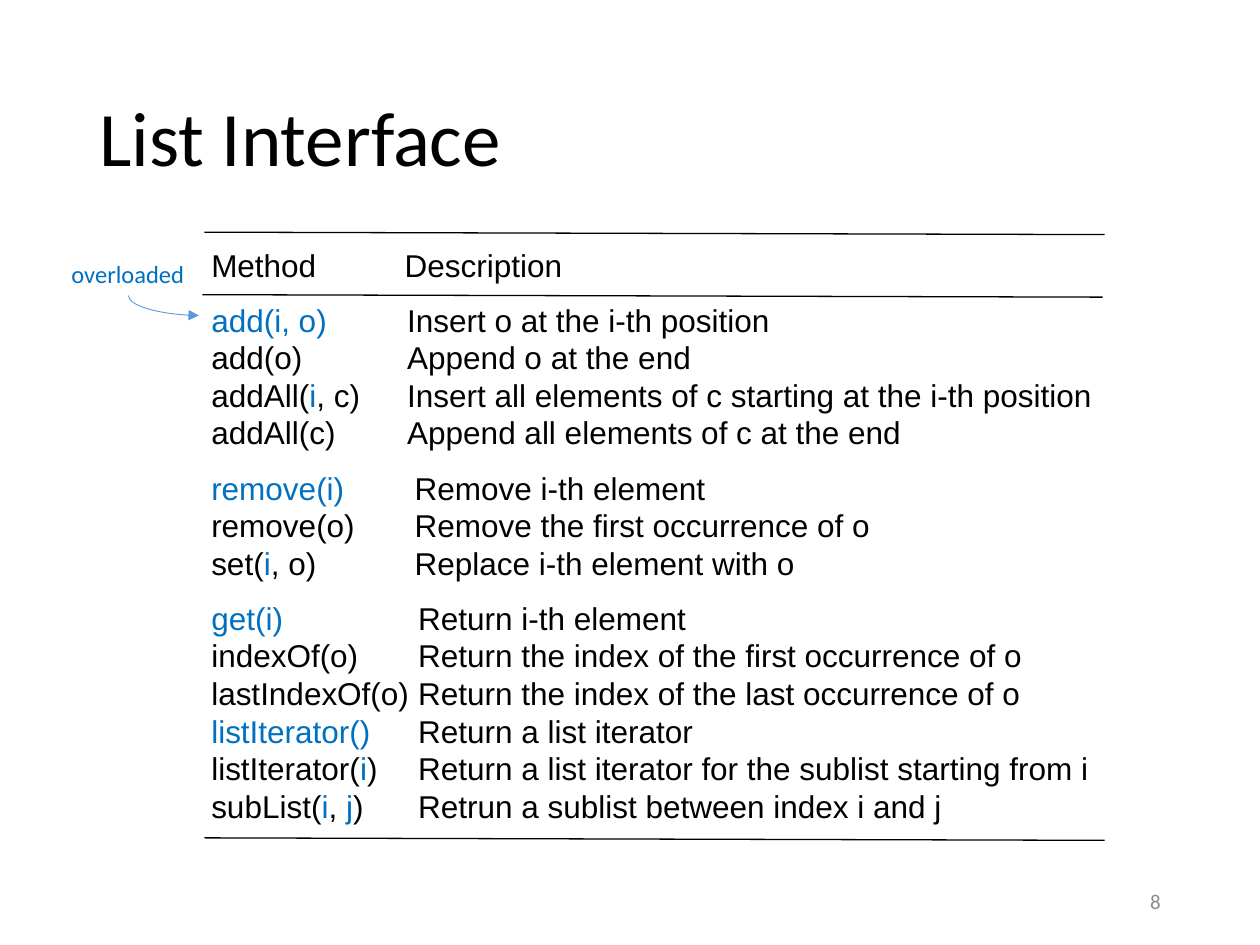
from lxml.etree import SubElement
from pptx import Presentation
from pptx.dml.color import RGBColor
from pptx.enum.shapes import MSO_CONNECTOR as CONN
from pptx.enum.text import MSO_ANCHOR as ANCHOR, MSO_AUTO_SIZE as AUTO, PP_ALIGN as ALIGN
from pptx.oxml.ns import qn
from pptx.util import Cm, Pt

BLACK, BLUE, GRAY, SKY = "000000", "0070C0", "8C8C8C", "5B9BD5"

GROUPS = [
    (3.9, [("Method", "Description")]),
    (3.95, [
        ("|add(i, o)|", "Insert o at the i-th position"),
        ("add(o)", "Append o at the end"),
        ("addAll(|i|, c)", "Insert all elements of c starting at the i-th position"),
        ("addAll(c)", "Append all elements of c at the end"),
    ]),
    (4.1, [
        ("|remove(i)|", "Remove i-th element"),
        ("remove(o)", "Remove the first occurrence of o"),
        ("set(|i|, o)", "Replace i-th element with o"),
    ]),
    (4.17, [
        ("|get(i)|", "Return i-th element"),
        ("indexOf(o)", "Return the index of the first occurrence of o"),
        ("lastIndexOf(o)", "Return the index of the last occurrence of o"),
        ("|listIterator()|", "Return a list iterator"),
        ("listIterator(|i|)", "Return a list iterator for the sublist starting from i"),
        ("subList(|i|, |j|)", "Retrun a sublist between index i and j"),
    ]),
]


def rgb(value):
    return RGBColor.from_string(value)


def set_attrs(obj, values):
    for name, value in values.items():
        setattr(obj, name, value)


def add_run(p, text, size, font, color):
    r = p.add_run()
    r.text = text
    set_attrs(r.font, {"size": Pt(size), "name": font})
    r.font.color.rgb = rgb(color)


def add_box(s, box, **frame):
    tf = s.shapes.add_textbox(*map(Cm, box)).text_frame
    set_attrs(tf, {"word_wrap": True, **frame})
    return tf


def add_title(s, text):
    sp = s.shapes.title
    set_attrs(sp, {"left": Cm(1.75), "top": Cm(1.02), "width": Cm(21.9), "height": Cm(3.68)})
    sp.text_frame.vertical_anchor = ANCHOR.MIDDLE
    p = sp.text_frame.paragraphs[0]
    set_attrs(p, {"alignment": ALIGN.LEFT, "line_spacing": 0.9})
    add_run(p, text, 44, "Calibri", BLACK)


def add_label(s, box, text, size, color, align=ALIGN.LEFT, **frame):
    p = add_box(s, box, **frame).paragraphs[0]
    p.alignment = align
    add_run(p, text, size, "Calibri", color)


def add_tab(p, position):
    tabs = SubElement(p._p.get_or_add_pPr(), qn("a:tabLst"))
    SubElement(tabs, qn("a:tab"), pos=str(Cm(position)), algn="l")


def add_methods(s, box):
    tf = add_box(s, box, auto_size=AUTO.SHAPE_TO_FIT_TEXT)
    p = tf.paragraphs[0]
    for g, (tab, rows) in enumerate(GROUPS):
        for i, (method, description) in enumerate(rows):
            if g:
                p = tf.add_paragraph()
            gap = Pt(10) if g and i == 0 else Pt(0)
            set_attrs(p, {"line_spacing": Pt(21.5), "space_before": gap})
            add_tab(p, tab)
            for n, part in enumerate(method.split("|")):
                if part:
                    add_run(p, part, 18, "Arial", BLUE if n % 2 else BLACK)
            add_run(p, "\t" + description, 18, "Arial", BLACK)


def add_line(s, kind, ends, color, width):
    c = s.shapes.add_connector(kind, *map(Cm, ends))
    c.line.color.rgb = rgb(color)
    c.line.width = Pt(width)
    SubElement(c._element.spPr, qn("a:effectLst"))
    return c


def add_rule(s, left, top):
    add_line(s, CONN.STRAIGHT, (left, top, left + 18.15, top + 0.05), BLACK, 0.75)


def add_curved_arrow(s, ends):
    c = add_line(s, CONN.CURVE, ends, SKY, 0.5)
    spPr = c._element.spPr
    spPr.find(qn("a:prstGeom")).set("prst", "curvedConnector2")
    xfrm = spPr.find(qn("a:xfrm"))
    xfrm.set("rot", str(270 * 60000))
    xfrm.set("flipH", "1")
    SubElement(spPr.find(qn("a:ln")), qn("a:tailEnd"), type="triangle")


def main():
    prs = Presentation()
    set_attrs(prs, {"slide_width": Cm(25.4), "slide_height": Cm(19.05)})
    s = prs.slides.add_slide(prs.slide_layouts[5])
    add_title(s, "List Interface")
    add_methods(s, (4.01, 4.83, 19.08, 11.96))
    for left, top in [(4.12, 16.89), (4.08, 5.94), (4.12, 4.68)]:
        add_rule(s, left, top)
    add_label(s, (17.93, 17.65, 5.72, 1.02), "8", 12, GRAY, ALIGN.RIGHT,
              vertical_anchor=ANCHOR.MIDDLE)
    add_label(s, (1.19, 5.1, 2.82, 0.86), "overloaded", 14, BLUE,
              word_wrap=False, auto_size=AUTO.SHAPE_TO_FIT_TEXT)
    add_curved_arrow(s, (3.1, 5.45, 3.5, 6.87))
    prs.save("out.pptx")


if __name__ == "__main__":
    main()
